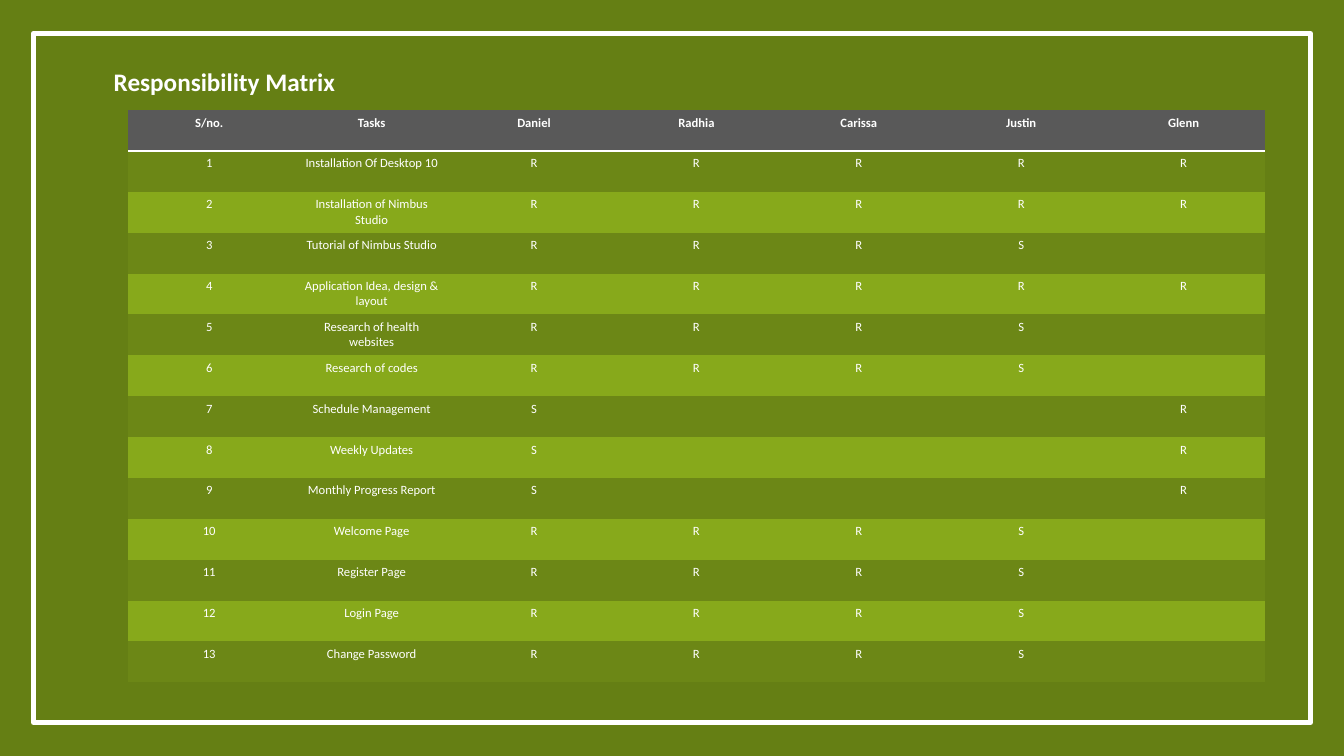
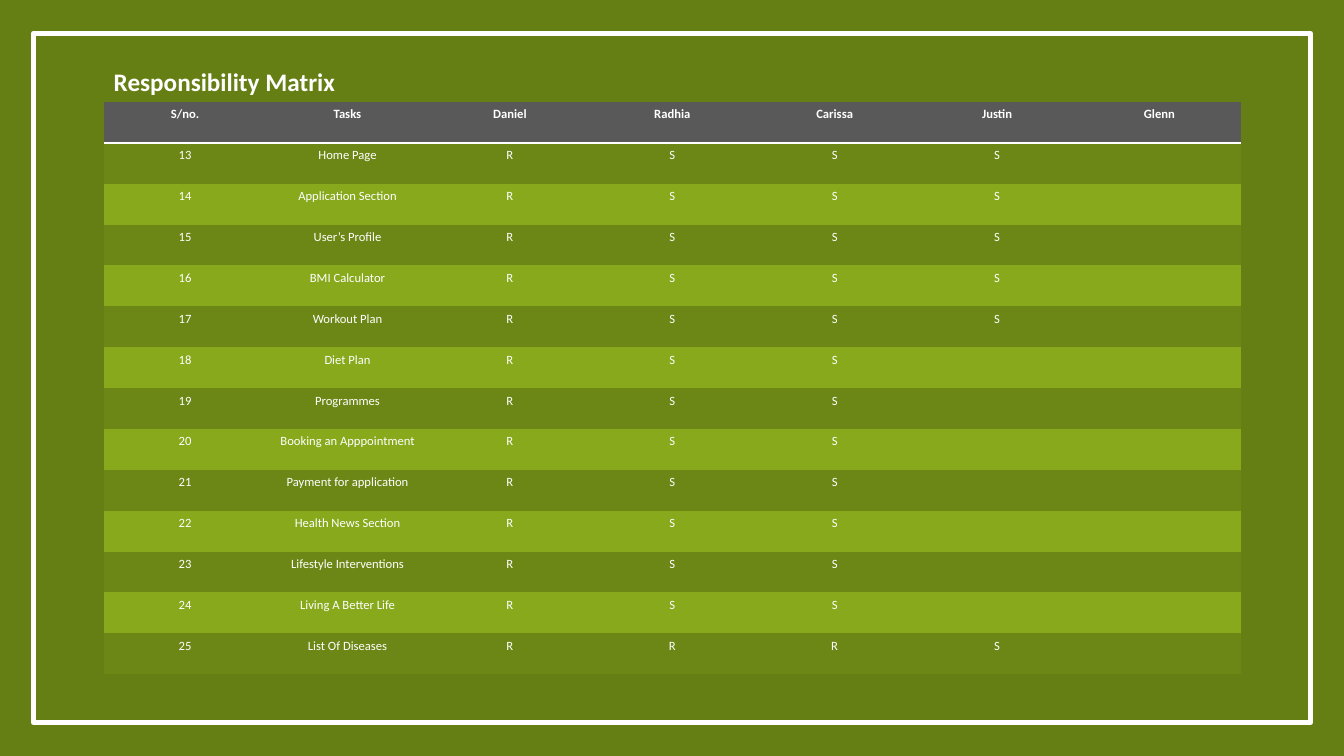
"""Build two responsibility matrix slides."""
from dataclasses import dataclass
from lxml.etree import SubElement
from pptx import Presentation
from pptx.dml.color import RGBColor as RGB
from pptx.enum.shapes import MSO_SHAPE as Form
from pptx.enum.text import MSO_ANCHOR as Anchor, MSO_AUTO_SIZE as Auto, PP_ALIGN as Align
from pptx.oxml.ns import qn
from pptx.util import Pt

TITLE = "Responsibility Matrix"
HEADS = ["S/no.", "Tasks", "Daniel", "Radhia", "Carissa", "Justin", "Glenn"]
PAGES = [
    {"first": 1, "left": 91.44, "top": 78.6, "tasks": [
        ("Installation Of Desktop 10", "RRRRR"),
        ("Installation of Nimbus Studio", "RRRRR"),
        ("Tutorial of Nimbus Studio", "RRRS"),
        ("Application Idea, design & layout", "RRRRR"),
        ("Research of health websites", "RRRS"),
        ("Research of codes", "RRRS"),
        ("Schedule Management", "S   R"),
        ("Weekly Updates", "S   R"),
        ("Monthly Progress Report", "S   R"),
        ("Welcome Page", "RRRS"),
        ("Register Page", "RRRS"),
        ("Login Page", "RRRS"),
        ("Change Password", "RRRS"),
    ]},
    {"first": 13, "left": 74.2, "top": 72.8, "tasks": [
        ("Home Page", "RSSS"),
        ("Application Section", "RSSS"),
        ("User’s Profile", "RSSS"),
        ("BMI Calculator", "RSSS"),
        ("Workout Plan", "RSSS"),
        ("Diet Plan", "RSS"),
        ("Programmes", "RSS"),
        ("Booking an Apppointment", "RSS"),
        ("Payment for application", "RSS"),
        ("Health News Section", "RSS"),
        ("Lifestyle Interventions", "RSS"),
        ("Living A Better Life", "RSS"),
        ("List Of Diseases", "RRRS"),
    ]},
]
WIDE, HIGH = 960, 540
EDGE = 24
COL, ROW = 116, 29.2
PLAIN = "{2D5ABB26-0587-4C30-8999-92F81FD0307C}"


@dataclass(frozen=True)
class Theme:
    """Colours, font and type sizes."""
    back: str = "657F14"
    ink: str = "FFFFFF"
    head: str = "595959"
    bands: tuple = ("6C8716", "87A91B")
    face: str = "Calibri"
    title: int = 18
    body: int = 9
    frame: int = 4
    rule: int = 2


THEME = Theme()


def apply(item, form):
    """Set each format value on an object."""
    for name, value in form.items():
        setattr(item, name, value)


def paint(fill, tint):
    """Give a fill one solid colour."""
    fill.solid()
    fill.fore_color.rgb = RGB.from_string(tint)


def write(para, text, size, bold, align):
    """Put styled text into a paragraph."""
    para.alignment = align
    if text:
        run = para.add_run()
        run.text = text
        apply(run.font, {"name": THEME.face, "size": Pt(size), "bold": bold})
        run.font.color.rgb = RGB.from_string(THEME.ink)


def underline(cell):
    """Draw the rule below a header cell."""
    props = cell._tc.get_or_add_tcPr()
    line = SubElement(props, qn("a:lnB"), w=str(Pt(THEME.rule)))
    fill = SubElement(line, qn("a:solidFill"))
    SubElement(fill, qn("a:srgbClr"), val=THEME.ink)
    props.insert(0, line)


def add_frame(slide, master):
    """Draw the border and move it to the master."""
    box = slide.shapes.add_shape(
        Form.RECTANGLE, Pt(EDGE), Pt(EDGE), Pt(WIDE - 2 * EDGE), Pt(HIGH - 2 * EDGE))
    box.shadow.inherit = False
    box.fill.background()
    paint(box.line.fill, THEME.ink)
    box.line.width = Pt(THEME.frame)
    master.shapes.element.append(box.element)


def add_title(slide):
    """Place and fill the slide title."""
    title = slide.shapes.title
    apply(title, {"left": Pt(74), "top": Pt(44), "width": Pt(248), "height": Pt(29)})
    apply(title.text_frame, {"word_wrap": True, "auto_size": Auto.SHAPE_TO_FIT_TEXT,
                             "vertical_anchor": Anchor.TOP})
    write(title.text_frame.paragraphs[0], TITLE, THEME.title, True, Align.LEFT)


def add_matrix(slide, page):
    """Build the task table of one page."""
    rows = [HEADS] + [[str(num), task, *marks.ljust(5)]
                      for num, (task, marks) in enumerate(page["tasks"], page["first"])]
    frame = slide.shapes.add_table(
        len(rows), len(HEADS), Pt(page["left"]), Pt(page["top"]),
        Pt(COL * len(HEADS)), Pt(ROW * len(rows)))
    frame.element.find(".//" + qn("a:tableStyleId")).text = PLAIN
    grid = frame.table
    grid.horz_banding = False
    for col in grid.columns:
        col.width = Pt(COL)
    for i, row in enumerate(rows):
        grid.rows[i].height = Pt(ROW)
        tint = THEME.bands[(i - 1) % 2] if i else THEME.head
        for j, text in enumerate(row):
            cell = grid.cell(i, j)
            paint(cell.fill, tint)
            write(cell.text_frame.paragraphs[0], text.strip(), THEME.body, i == 0, Align.CENTER)
            if i == 0:
                underline(cell)


def main():
    """Make and save the deck."""
    deck = Presentation()
    apply(deck, {"slide_width": Pt(WIDE), "slide_height": Pt(HIGH)})
    paint(deck.slide_master.background.fill, THEME.back)
    slides = [deck.slides.add_slide(deck.slide_layouts[5]) for _ in PAGES]
    add_frame(slides[0], deck.slide_master)
    for slide, page in zip(slides, PAGES):
        add_title(slide)
        add_matrix(slide, page)
    deck.save("out.pptx")


if __name__ == "__main__":
    main()
